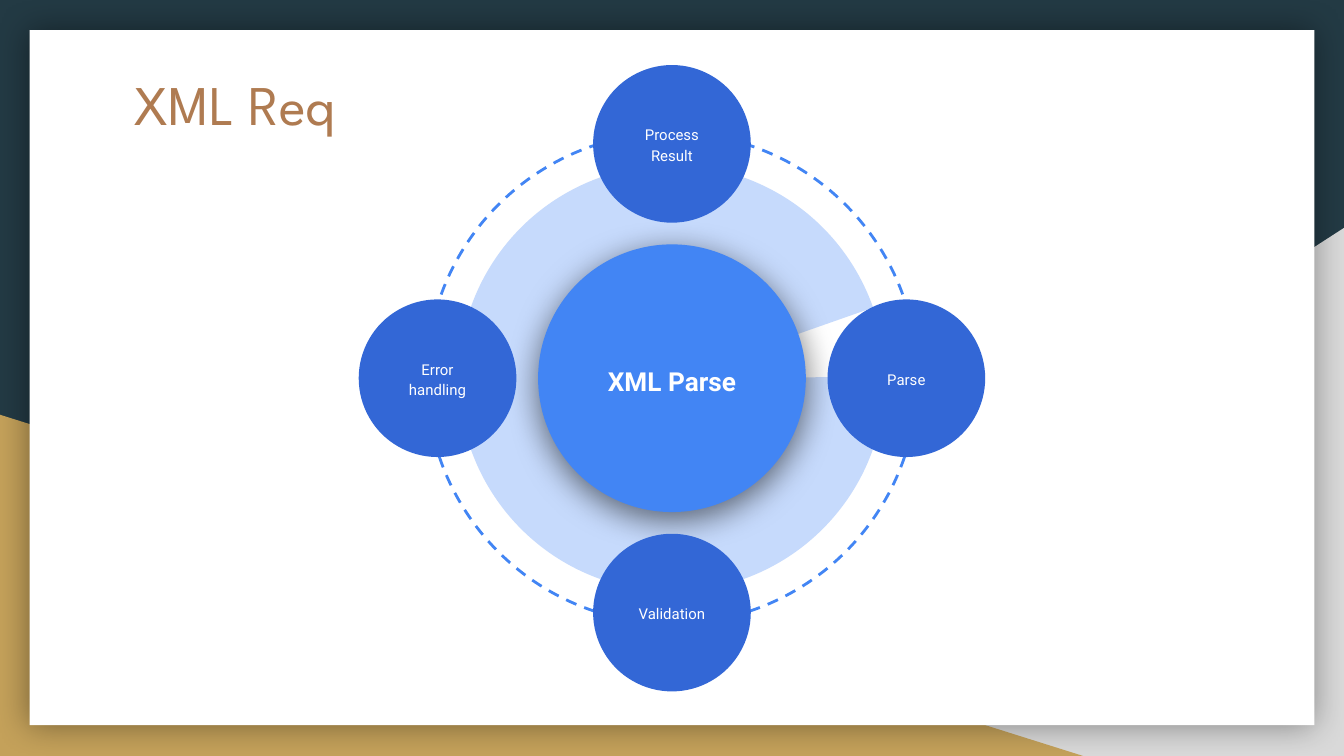
from lxml.etree import SubElement
from pptx import Presentation
from pptx.dml.color import RGBColor
from pptx.enum.dml import MSO_LINE as Dash
from pptx.enum.shapes import MSO_SHAPE as Kind
from pptx.enum.text import MSO_ANCHOR as Anchor, PP_ALIGN as Align
from pptx.oxml.ns import qn
from pptx.util import Cm, Pt

WIDE, HIGH = 25.4, 14.29
MID_X, MID_Y = 12.7, 7.15
ORBIT = 4.43
TITLE = "XML Req"
HUB = "XML Parse"
NODES = [
    ("Process Result", 0, -1),
    ("Validation", 0, 1),
    ("Error handling", -1, 0),
    ("Parse", 1, 0),
]
NAVY, GOLD, GRAY, WHITE = "233A44", "C4A15A", "D9D9D9", "FFFFFF"
BROWN, BLUE, PALE, DEEP = "AF7B51", "4285F4", "C6DAFC", "3367D6"

deck = Presentation()
deck.slide_width, deck.slide_height = Cm(WIDE), Cm(HIGH)
slide = deck.slides.add_slide(deck.slide_layouts[6])


def color(code):
    return RGBColor.from_string(code)


def add_form(kind, x, y, w, h, fill=None):
    form = slide.shapes.add_shape(kind, Cm(x), Cm(y), Cm(w), Cm(h))
    form.shadow.inherit = False
    form.line.fill.background()
    if fill:
        form.fill.solid()
        form.fill.fore_color.rgb = color(fill)
    else:
        form.fill.background()
    return form


def add_round(x, y, r, fill=None, kind=Kind.OVAL):
    return add_form(kind, x - r, y - r, 2 * r, 2 * r, fill)


def add_glow(form, alpha, dist=0, angle=0):
    group = form._element.spPr.find(qn("a:effectLst"))
    glow = SubElement(group, qn("a:outerShdw"), blurRad=str(Pt(18)),
                      dist=str(Pt(dist)), dir=str(angle * 60000),
                      algn="ctr", rotWithShape="0")
    tint = SubElement(glow, qn("a:srgbClr"), val="000000")
    SubElement(tint, qn("a:alpha"), val=str(alpha * 1000))


def add_text(text, x, y, w, h, size=8, font="Roboto", ink=WHITE, bold=False,
             align=Align.CENTER, anchor=Anchor.MIDDLE, space=1.15, wrap=True):
    box = slide.shapes.add_textbox(Cm(x), Cm(y), Cm(w), Cm(h))
    frame = box.text_frame
    frame.word_wrap = wrap
    frame.vertical_anchor = anchor
    frame.margin_left = frame.margin_right = Cm(0.25)
    frame.margin_top = frame.margin_bottom = Cm(0.25)
    para = frame.paragraphs[0]
    para.alignment, para.line_spacing = align, space
    run = para.add_run()
    run.text = text
    run.font.size, run.font.name, run.font.bold = Pt(size), font, bold
    run.font.color.rgb = color(ink)


def add_label(text, x, y, w, h, **style):
    add_text(text, x - w / 2, y - h / 2, w, h, **style)


back = slide.background.fill
back.solid()
back.fore_color.rgb = color(NAVY)
slope = add_form(Kind.RIGHT_TRIANGLE, 9.96, 4.31, 15.44, 9.98, GRAY)
slope._element.spPr.find(qn("a:xfrm")).set("flipH", "1")
add_form(Kind.RIGHT_TRIANGLE, 0, 7.84, 20.47, 6.45, GOLD)
card = add_form(Kind.RECTANGLE, 0.56, 0.57, 24.28, 13.14, WHITE)
add_glow(card, 40)
add_text(TITLE, 2.29, 1.07, 4.52, 2.64, size=30, font="League Spartan",
         ink=BROWN, align=Align.LEFT, anchor=Anchor.TOP, space=1, wrap=False)

ring = add_round(MID_X, MID_Y, 4.64)
ring.rotation = 270
ring.line.fill.solid()
ring.line.color.rgb = color(BLUE)
ring.line.width = Pt(1.5)
ring.line.dash_style = Dash.DASH

pie = add_round(MID_X, MID_Y, 4.03, PALE, Kind.PIE)
for i, angle in enumerate((359.62, 340.66)):
    pie.adjustments[i] = angle * 0.6

hub = add_round(MID_X, MID_Y, 2.53, BLUE)
add_glow(hub, 55, 4, 90)
add_label(HUB, MID_X, MID_Y, 3.73, 2.29, size=14, bold=True)

for name, dx, dy in NODES:
    x, y = MID_X + dx * ORBIT, MID_Y + dy * ORBIT
    add_round(x, y, 1.49, DEEP)
    add_label(name, x, y, 2.11, 2.03)

deck.save("out.pptx")
